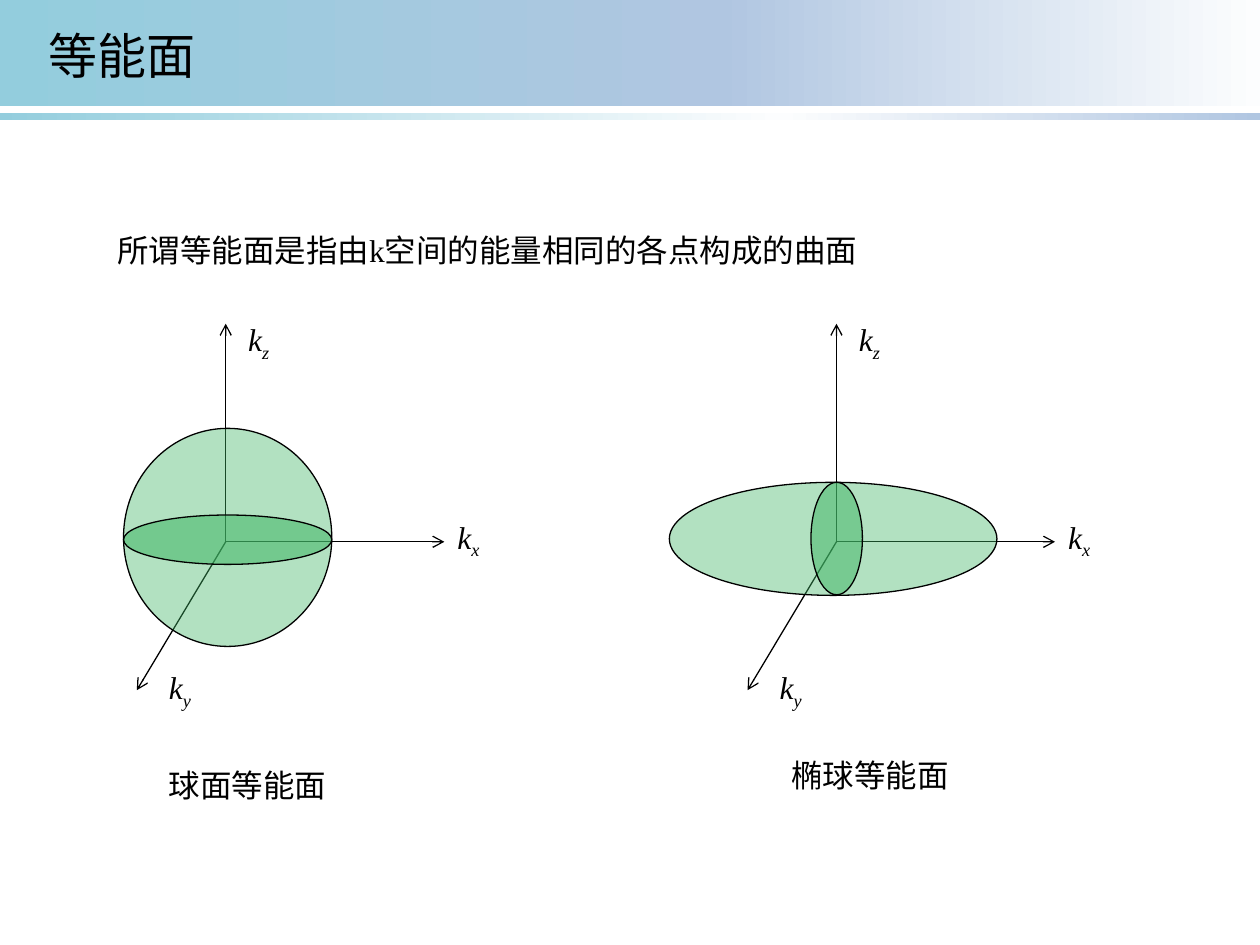
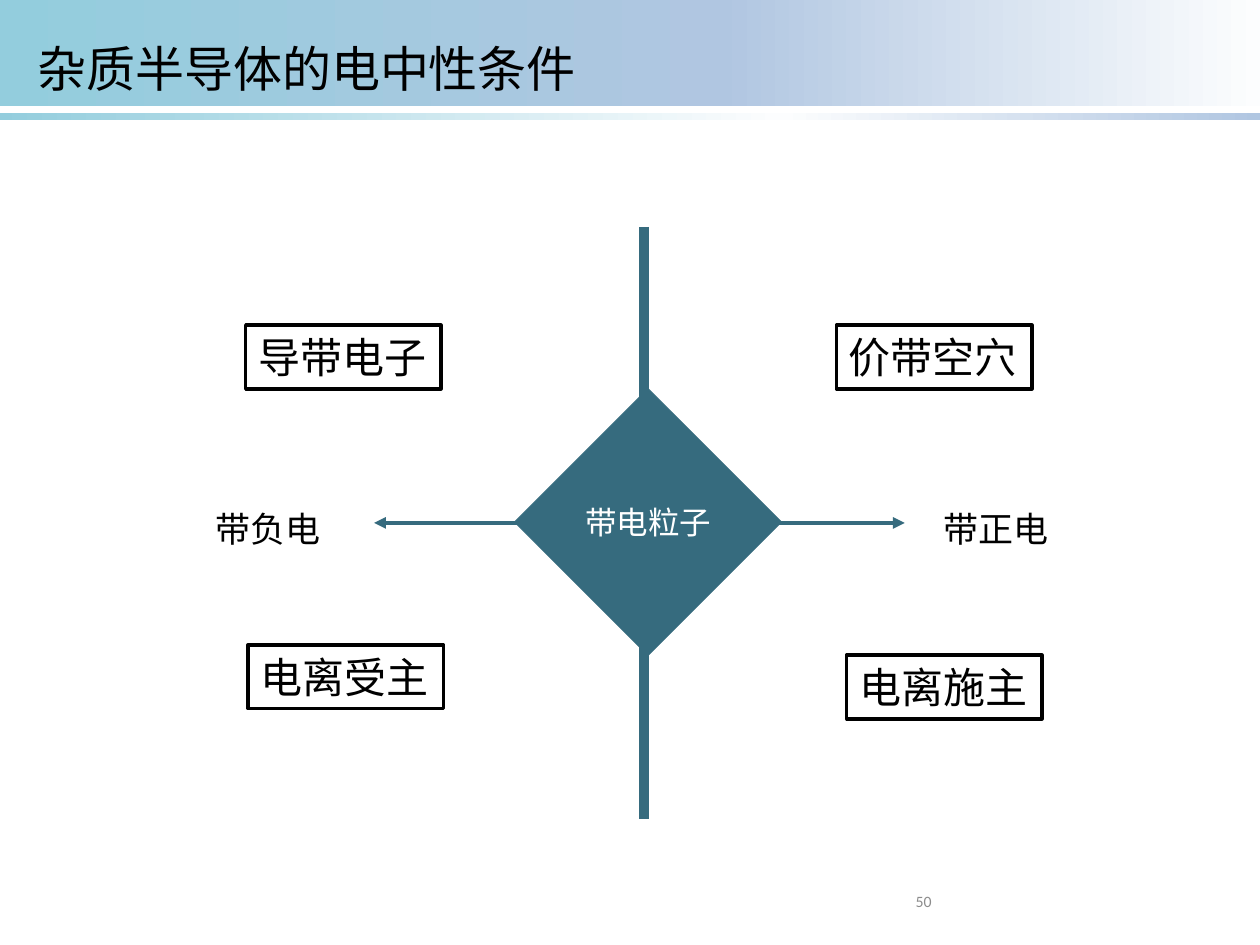
from dataclasses import dataclass

from lxml.etree import SubElement
from pptx import Presentation
from pptx.dml.color import RGBColor
from pptx.enum.shapes import MSO_CONNECTOR as Link, MSO_SHAPE as Preset
from pptx.enum.text import MSO_ANCHOR as Anchor, MSO_AUTO_SIZE as AutoSize, PP_ALIGN as Align
from pptx.oxml.ns import qn
from pptx.util import Pt

BLACK, WHITE, GREY = "000000", "FFFFFF", "8C8C8C"
AQUA, MIST, BLUE = "93CDDD", "FCFDFE", "B0C6E1"
TEAL, GREEN = "366B7E", "3FB564"
HAN, SERIF, SANS = "Noto Sans CJK SC", "Times New Roman", "Calibri"


@dataclass(frozen=True)
class Box:
    left: float
    top: float
    width: float
    height: float

    def lengths(self) -> tuple:
        return Pt(self.left), Pt(self.top), Pt(self.width), Pt(self.height)


@dataclass(frozen=True)
class Band:
    box: Box
    stops: tuple  # (percent, colour)


@dataclass(frozen=True)
class Axis:
    name: str
    tip: tuple  # offset from the origin
    label: tuple  # offset of the label from the origin


@dataclass(frozen=True)
class Surface:
    origin_x: float
    body: Box
    section: Box
    section_opacity: int
    caption: str
    caption_at: tuple


@dataclass(frozen=True)
class Label:
    text: str
    left: float
    top: float


BANDS = (
    Band(Box(-1.4, 64.8, 721.4, 3.6), ((0, AQUA), (62, MIST), (100, BLUE))),
    Band(Box(0, -1.4, 720, 62), ((0, AQUA), (57, BLUE), (100, MIST))),
)
ORIGIN_Y = 309.6
AXES = (
    Axis("x", (124.9, 0), (125.3, -17.4)),
    Axis("z", (0, -124.6), (5.8, -130.3)),
    Axis("y", (-50.8, 84.8), (-39.6, 68.4)),
)
SURFACES = (
    Surface(129, Box(70.6, 244.8, 119, 124.6), Box(70.6, 294.3, 119, 28.2), 54,
            "球面等能面", (89.3, 434.2)),
    Surface(478, Box(382.5, 275.6, 187.2, 64.6), Box(463.4, 275.6, 29.4, 64.3), 51,
            "椭球等能面", (445, 428.4)),
)
CARRIERS = (
    Label("导带电子", 140.4, 185.8),
    Label("电离受主", 141.8, 368.6),
    Label("价带空穴", 478, 185.8),
    Label("电离施主", 483.8, 374.4),
)
CHARGES = (Label("带负电", 116, 286.6), Label("带正电", 532, 286.6))


def colour(code: str) -> RGBColor:
    return RGBColor.from_string(code)


def style_run(run, size: float, code: str = BLACK, font: str = HAN) -> None:
    run.font.size = Pt(size)
    run.font.name = font
    run.font.color.rgb = colour(code)
    SubElement(run.font._element, qn("a:ea")).set("typeface", HAN)


def write(shape, text: str, size: float, code: str = BLACK, font: str = HAN,
          wrap: bool = False, align=Align.LEFT, anchor=Anchor.TOP) -> None:
    frame = shape.text_frame
    frame.text = text
    frame.word_wrap = wrap
    frame.vertical_anchor = anchor
    frame.paragraphs[0].alignment = align
    style_run(frame.paragraphs[0].runs[0], size, code, font)


def add_text(slide, box: Box, text: str, size: float, **options):
    area = slide.shapes.add_textbox(*box.lengths())
    write(area, text, size, **options)
    area.text_frame.auto_size = AutoSize.SHAPE_TO_FIT_TEXT
    return area


def add_figure(slide, preset, box: Box, fill: str, line: str, weight: float,
               opacity: int = 100):
    figure = slide.shapes.add_shape(preset, *box.lengths())
    figure.shadow.inherit = False
    figure.fill.solid()
    figure.fill.fore_color.rgb = colour(fill)
    figure.line.color.rgb = colour(line)
    figure.line.width = Pt(weight)
    if opacity < 100:
        tint = figure._element.spPr.find(qn("a:solidFill"))[0]
        SubElement(tint, qn("a:alpha")).set("val", str(opacity * 1000))
    return figure


def add_line(slide, start: tuple, end: tuple, code: str, weight: float,
             **arrows: str) -> None:
    """Draw a straight line; arrows maps headEnd or tailEnd to its arrow type."""
    line = slide.shapes.add_connector(Link.STRAIGHT, *map(Pt, start + end))
    line.line.color.rgb = colour(code)
    line.line.width = Pt(weight)
    outline = line.line._get_or_add_ln()
    for tag, kind in arrows.items():
        SubElement(outline, qn(f"a:{tag}")).set("type", kind)
    SubElement(line._element.spPr, qn("a:effectLst"))


def add_band(slide, band: Band) -> None:
    strip = slide.shapes.add_shape(Preset.RECTANGLE, *band.box.lengths())
    strip.shadow.inherit = False
    strip.line.fill.background()
    strip.fill.gradient()
    strip.fill.gradient_angle = 0
    stop_list = strip._element.spPr.find(qn("a:gradFill")).find(qn("a:gsLst"))
    stop_list.clear()
    for percent, code in band.stops:
        stop = SubElement(stop_list, qn("a:gs"))
        stop.set("pos", str(percent * 1000))
        SubElement(stop, qn("a:srgbClr")).set("val", code)


def add_slide(deck, title: str, title_box: Box):
    slide = deck.slides.add_slide(deck.slide_layouts[6])
    for band in BANDS:
        add_band(slide, band)
    add_text(slide, title_box, title, 28)
    return slide


def draw_surface(slide, surface: Surface) -> None:
    x, y = surface.origin_x, ORIGIN_Y
    # Axes and their names
    for axis in AXES:
        dx, dy = axis.tip
        add_line(slide, (x, y), (x + dx, y + dy), BLACK, 0.75, tailEnd="arrow")
        dx, dy = axis.label
        name = add_text(slide, Box(x + dx, y + dy, 28, 29), "k", 18, font=SERIF)
        paragraph = name.text_frame.paragraphs[0]
        subscript = paragraph.add_run()
        subscript.text = axis.name
        style_run(subscript, 18, font=SERIF)
        subscript.font._element.set("baseline", "-25000")
        for run in paragraph.runs:
            run.font.italic = True
    # Constant-energy surface with its cross-section
    for box, opacity in ((surface.body, 40), (surface.section, surface.section_opacity)):
        add_figure(slide, Preset.OVAL, box, GREEN, BLACK, 0.75, opacity)
    add_text(slide, Box(*surface.caption_at, 105, 29), surface.caption, 18)


def energy_surfaces(deck) -> None:
    slide = add_slide(deck, "等能面", Box(20.9, 10.8, 99.4, 41))
    add_text(slide, Box(59.8, 128.2, 452, 29),
             "所谓等能面是指由k空间的能量相同的各点构成的曲面", 18, font=SERIF, wrap=True)
    for surface in SURFACES:
        draw_surface(slide, surface)


def neutrality(deck) -> None:
    slide = add_slide(deck, "杂质半导体的电中性条件", Box(14.4, 18.7, 327, 41))
    page = slide.shapes.add_textbox(*Box(516.2, 500.4, 167.8, 28.8).lengths())
    write(page, "50", 9, GREY, SANS, wrap=True, anchor=Anchor.MIDDLE)

    # Cross lines behind the central diamond
    add_line(slide, (213.8, 298.8), (517, 298.8), TEAL, 2.25,
             headEnd="triangle", tailEnd="triangle")
    add_line(slide, (368, 129.6), (368, 468), TEAL, 6)
    particles = add_figure(slide, Preset.DIAMOND, Box(294, 222, 152.6, 152.6),
                           TEAL, TEAL, 0.5)
    write(particles, "带电粒子", 18, WHITE, align=Align.CENTER, anchor=Anchor.MIDDLE)
    frame = particles.text_frame
    frame.margin_left = frame.margin_right = frame.margin_top = frame.margin_bottom = 0

    # Framed carriers and the sign of each side
    for carrier in CARRIERS:
        card = add_figure(slide, Preset.RECTANGLE, Box(carrier.left, carrier.top, 111.6, 36.4),
                          WHITE, BLACK, 2)
        write(card, carrier.text, 24)
        card.text_frame.auto_size = AutoSize.SHAPE_TO_FIT_TEXT
    for charge in CHARGES:
        add_text(slide, Box(charge.left, charge.top, 75, 31.7), charge.text, 20)


def main() -> None:
    deck = Presentation()
    deck.slide_width, deck.slide_height = Pt(720), Pt(540)
    energy_surfaces(deck)
    neutrality(deck)
    deck.save("out.pptx")


if __name__ == "__main__":
    main()
